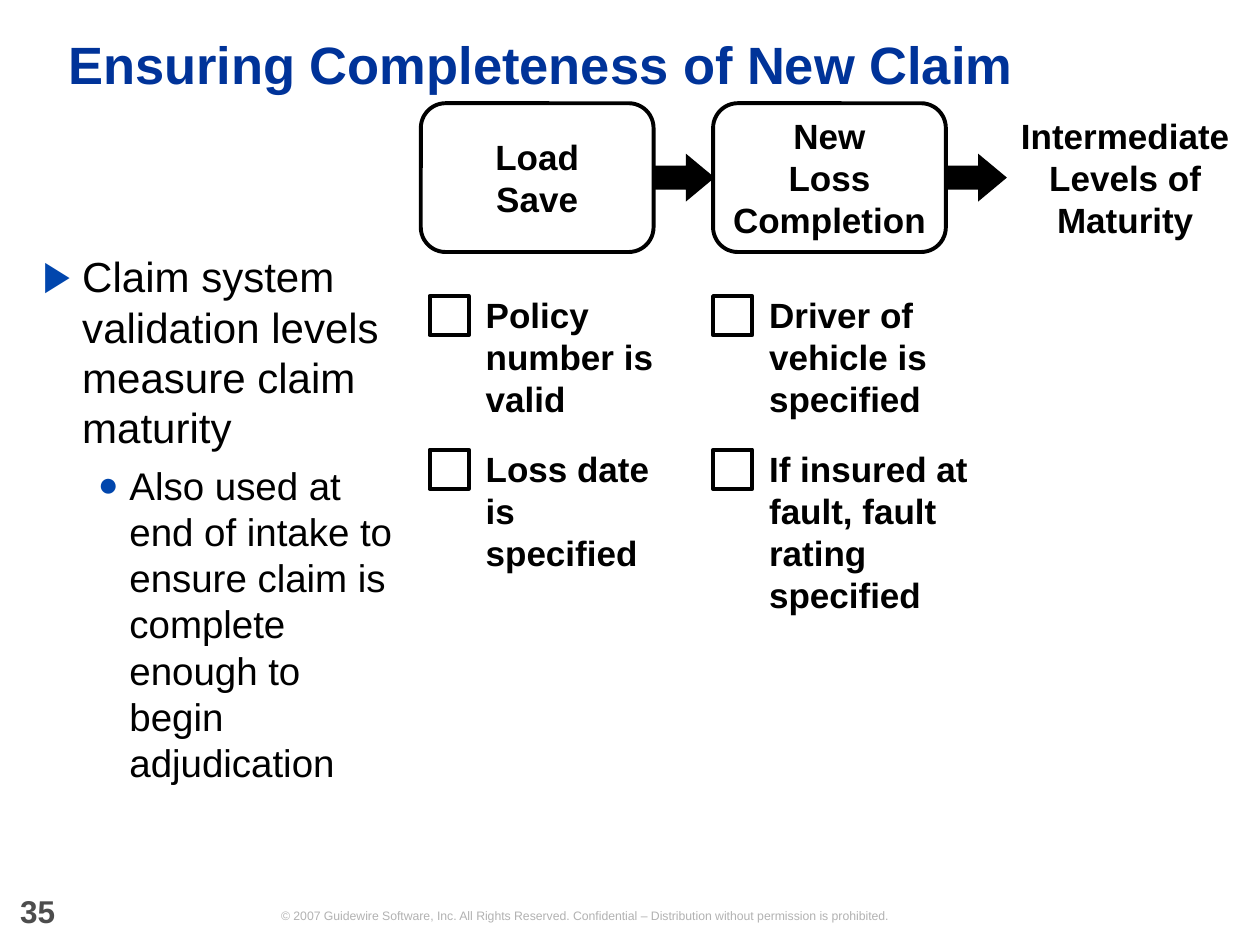
"""Build the slide on ensuring the completeness of a new claim."""
from dataclasses import dataclass

from lxml import etree
from pptx import Presentation
from pptx.dml.color import RGBColor
from pptx.enum.shapes import MSO_SHAPE
from pptx.enum.text import MSO_ANCHOR, PP_ALIGN
from pptx.oxml.ns import qn
from pptx.util import Pt

RECTANGLE, ROUNDED, ARROW = MSO_SHAPE.RECTANGLE, MSO_SHAPE.ROUNDED_RECTANGLE, MSO_SHAPE.RIGHT_ARROW
TOP, MIDDLE = MSO_ANCHOR.TOP, MSO_ANCHOR.MIDDLE
LEFT, CENTER = PP_ALIGN.LEFT, PP_ALIGN.CENTER

TITLE = "Ensuring Completeness of New Claim"
PAGE_NUMBER = "35"
COPYRIGHT = ("© 2007 Guidewire Software, Inc. All Rights Reserved. "
             "Confidential – Distribution without permission is prohibited.")
STAGES = ["Load\vSave", "New\vLoss\vCompletion"]
NEXT_STAGE = "Intermediate\vLevels of\vMaturity"
CHECKLISTS = [
    (101, ["Policy number is valid", "Loss date is specified"]),
    (114, ["Driver of vehicle is specified", "If insured at fault, fault rating specified"]),
]
BULLETS = [
    dict(text="Claim system validation levels measure claim maturity",
         mark="▶", mark_size=100, size=24, margin=22.5, hang=22.5, before=0),
    dict(text="Also used at end of intake to ensure claim is complete enough to begin adjudication",
         mark="●", mark_size=90, size=22, margin=49.5, hang=18, before=5.5),
]


@dataclass(frozen=True)
class Theme:
    """Hold the colours, type sizes and line width."""
    font: str = "Arial"
    ink: str = "000000"
    title: str = "003399"
    mark: str = "0146AD"
    number: str = "4D4D4D"
    faint: str = "B2B2B2"
    title_size: float = 30
    label_size: float = 20
    number_size: float = 18
    footer_size: float = 7
    line: float = 2.25


THEME = Theme()
STAGE_LEFT, STAGE_TOP, STAGE_WIDTH, STAGE_HEIGHT, STAGE_PITCH = 240.5, 59, 133, 85, 167
ARROW_WIDTH, ARROW_HEIGHT = 34, 27.4
CHECK_LEFT, CHECK_TOP, CHECK_SIZE = 245.5, 169.2, 22.4
CHECK_PITCH_X, CHECK_PITCH_Y, CHECK_TEXT_OFFSET = 162, 87.8, 32


def style(para, size, color=THEME.ink, bold=True, align=LEFT):
    """Align a paragraph and format its runs."""
    para.alignment = align
    for span in para.runs:
        span.font.name = THEME.font
        span.font.size = Pt(size)
        span.font.bold = bold
        span.font.color.rgb = RGBColor.from_string(color)


def set_frame(box, anchor):
    """Make a box wrap its text without margins and return its text frame."""
    frame = box.text_frame
    frame.word_wrap = True
    frame.vertical_anchor = anchor
    frame.margin_left = frame.margin_top = frame.margin_right = frame.margin_bottom = 0
    return frame


def write(box, text, size, anchor=TOP, **look):
    """Put one styled paragraph into a box and return the paragraph."""
    para = set_frame(box, anchor).paragraphs[0]
    para.text = text
    style(para, size, **look)
    return para


def add_box(page, *place):
    """Add a text box placed in points."""
    return page.shapes.add_textbox(*map(Pt, place))


def add_shape(page, kind, *place, filled=False):
    """Add an outlined or solid shape placed in points."""
    shape = page.shapes.add_shape(kind, *map(Pt, place))
    shape.shadow.inherit = False
    if filled:
        shape.fill.solid()
        shape.fill.fore_color.rgb = RGBColor.from_string(THEME.ink)
        shape.line.fill.background()
    else:
        shape.fill.background()
        shape.line.color.rgb = RGBColor.from_string(THEME.ink)
        shape.line.width = Pt(THEME.line)
    return shape


def add_mark(para, bullet):
    """Give a paragraph a hanging coloured bullet."""
    props = para._p.get_or_add_pPr()
    props.set("marL", str(Pt(bullet["margin"])))
    props.set("indent", str(-Pt(bullet["hang"])))
    color = etree.SubElement(props, qn("a:buClr"))
    etree.SubElement(color, qn("a:srgbClr"), val=THEME.mark)
    etree.SubElement(props, qn("a:buSzPct"), val=str(bullet["mark_size"] * 1000))
    etree.SubElement(props, qn("a:buFont"), typeface=THEME.font)
    etree.SubElement(props, qn("a:buChar"), char=bullet["mark"])


def add_bullets(page):
    """Add the bulleted explanation on the left."""
    frame = set_frame(add_box(page, 24.5, 143.3, 201, 360), TOP)
    for index, bullet in enumerate(BULLETS):
        para = frame.add_paragraph() if index else frame.paragraphs[0]
        para.text = bullet["text"]
        para.level = index
        para.space_before = Pt(bullet["before"])
        add_mark(para, bullet)
        style(para, bullet["size"], bold=False)


def add_stages(page):
    """Add the row of stages joined by arrows."""
    arrow_top = STAGE_TOP + (STAGE_HEIGHT - ARROW_HEIGHT) / 2
    for index, text in enumerate(STAGES):
        left = STAGE_LEFT + index * STAGE_PITCH
        stage = add_shape(page, ROUNDED, left, STAGE_TOP, STAGE_WIDTH, STAGE_HEIGHT)
        write(stage, text, THEME.label_size, MIDDLE, align=CENTER)
        arrow = add_shape(page, ARROW, left + STAGE_WIDTH + 0.9, arrow_top,
                          ARROW_WIDTH, ARROW_HEIGHT, filled=True)
        arrow.adjustments[0], arrow.adjustments[1] = 0.5, 0.6
    left = STAGE_LEFT + len(STAGES) * STAGE_PITCH + 2
    label = add_box(page, left, STAGE_TOP, STAGE_WIDTH, STAGE_HEIGHT)
    write(label, NEXT_STAGE, THEME.label_size, MIDDLE, align=CENTER)


def add_checklists(page):
    """Add a column of check boxes below each stage."""
    for column, (width, checks) in enumerate(CHECKLISTS):
        left = CHECK_LEFT + column * CHECK_PITCH_X
        for row, text in enumerate(checks):
            top = CHECK_TOP + row * CHECK_PITCH_Y
            add_shape(page, RECTANGLE, left, top, CHECK_SIZE, CHECK_SIZE)
            label = add_box(page, left + CHECK_TEXT_OFFSET, top - 1.4, width, 72)
            write(label, text, THEME.label_size)


def main():
    """Assemble and save the deck."""
    deck = Presentation()
    deck.slide_width, deck.slide_height = Pt(720), Pt(540)
    page = deck.slides.add_slide(deck.slide_layouts[6])
    write(add_box(page, 85.7, 519, 497, 8.6), COPYRIGHT, THEME.footer_size, MIDDLE,
          color=THEME.faint, bold=False, align=CENTER)
    number = write(add_box(page, 11.5, 513.4, 41, 18), PAGE_NUMBER, THEME.number_size,
                   color=THEME.number)
    number.line_spacing = Pt(18)
    title = write(add_box(page, 39, 9.4, 655, 58.3), TITLE, THEME.title_size, MIDDLE,
                  color=THEME.title)
    title.line_spacing = 0.9
    add_bullets(page)
    add_stages(page)
    add_checklists(page)
    deck.save("out.pptx")


if __name__ == "__main__":
    main()
